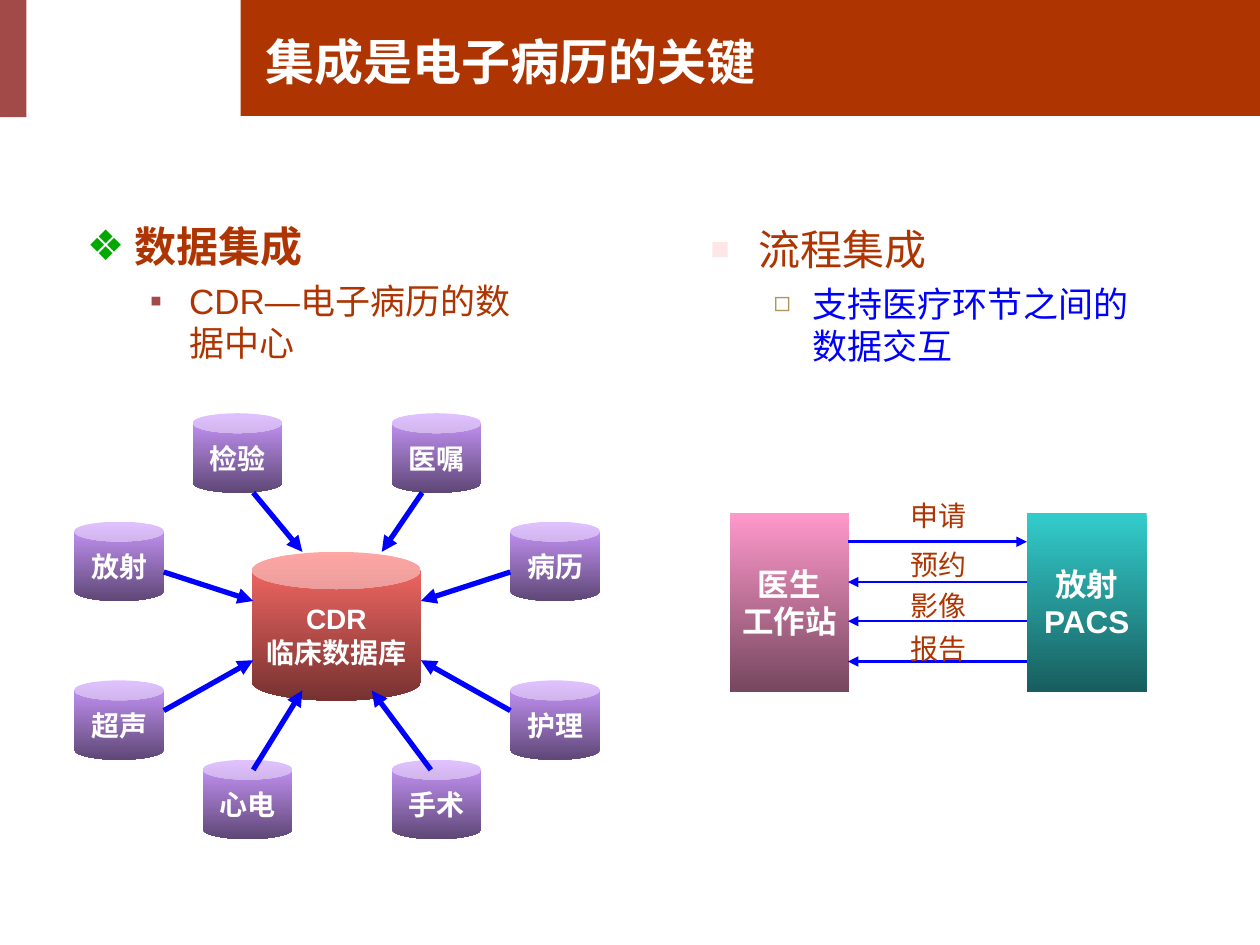
"""Build the slide on integration as the key to electronic medical records."""
import lxml.etree
import pptx
import pptx.dml.color
import pptx.enum.shapes
import pptx.enum.text
import pptx.oxml
import pptx.oxml.ns
import pptx.util

Inches = pptx.util.Inches
Pt = pptx.util.Pt
RGBColor = pptx.dml.color.RGBColor
SHAPE = pptx.enum.shapes.MSO_SHAPE
ALIGN = pptx.enum.text.PP_ALIGN
ANCHOR = pptx.enum.text.MSO_ANCHOR

RUST = RGBColor(0xAE, 0x35, 0x02)
MAROON = RGBColor(0xA2, 0x4A, 0x48)
WHITE = RGBColor(0xFF, 0xFF, 0xFF)
BLUE = RGBColor(0x00, 0x00, 0xFF)
GREEN = RGBColor(0x00, 0xA8, 0x00)
BLUSH = RGBColor(0xFF, 0xE6, 0xE6)
TAN = RGBColor(0xB2, 0x93, 0x5C)
RED_FADE = (RGBColor(0xFE, 0x6C, 0x68), RGBColor(0x76, 0x32, 0x30))
PURPLE_FADE = (RGBColor(0xCC, 0x99, 0xFF), RGBColor(0x5E, 0x47, 0x76))
PINK_FADE = (RGBColor(0xFF, 0x99, 0xCC), RGBColor(0x76, 0x47, 0x5E))
TEAL_FADE = (RGBColor(0x33, 0xCC, 0xCC), RGBColor(0x18, 0x5E, 0x5E))

TITLE = "集成是电子病历的关键"
BARS = [((1.91, 0, 8.09, 0.92), RUST), ((0, 0, 0.21, 0.93), MAROON)]

# Each item: text, level, size, font, colour, bold, bullet, bullet colour, bullet percent
LISTS = [
    ((0.59, 1.7, 3.63, 2.22), [
        ("数据集成", 0, 24, "DejaVu Sans", RUST, True, "❖", GREEN, 100),
        ("CDR—电子病历的数据中心", 1, 20, "Arial", RUST, False, "▪", MAROON, 100),
    ]),
    ((5.54, 1.72, 3.63, 1.97), [
        ("流程集成", 0, 24, "Arial", RUST, False, "■", BLUSH, 75),
        ("支持医疗环节之间的数据交互", 1, 20, "Arial", BLUE, False, "◻", TAN, 80),
    ]),
]
LEVELS = [(0.38, -0.38, 6), (0.81, -0.31, 5)]

DATABASE = ("CDR\v临床数据库", (2, 4.38, 1.34, 1.18))
SOURCE_SIZE = (0.71, 0.63)
SOURCES = [
    ("检验", (1.53, 3.28), (2.01, 3.91), (2.4, 4.38)),
    ("放射", (0.59, 4.14), (1.3, 4.54), (2.01, 4.77)),
    ("超声", (0.59, 5.4), (1.3, 5.64), (2.01, 5.24)),
    ("护理", (4.05, 5.4), (4.05, 5.64), (3.34, 5.24)),
    ("病历", (4.05, 4.14), (4.05, 4.54), (3.34, 4.77)),
    ("医嘱", (3.11, 3.28), (3.35, 3.91), (3.03, 4.38)),
    ("心电", (1.61, 6.03), (2.01, 6.11), (2.4, 5.48)),
    ("手术", (3.11, 6.03), (3.42, 6.11), (2.95, 5.48)),
]

STATIONS = [
    ("医生\v工作站", (5.79, 4.07, 0.95, 1.42), PINK_FADE),
    ("放射\vPACS", (8.15, 4.07, 0.95, 1.42), TEAL_FADE),
]
DOCTOR_EDGE, PACS_EDGE = 6.73, 8.15
MESSAGES = [
    ("申请", 3.91, 4.3, True),
    ("预约", 4.3, 4.62, False),
    ("影像", 4.62, 4.93, False),
    ("报告", 4.96, 5.25, False),
]


def box(values):
    return [Inches(value) for value in values]


def style(paragraph, size, color, bold=False, font="Arial"):
    paragraph.font.size = Pt(size)
    paragraph.font.name = font
    paragraph.font.bold = bold
    paragraph.font.color.rgb = color


def place(placeholder, bounds):
    placeholder.left, placeholder.top, placeholder.width, placeholder.height = box(bounds)
    placeholder.text_frame.auto_size = pptx.enum.text.MSO_AUTO_SIZE.NONE
    return placeholder.text_frame


def add_bullet(paragraph, level, character, color, percent):
    margin, indent, _ = LEVELS[level]
    properties = paragraph._p.get_or_add_pPr()
    properties.set("marL", str(Inches(margin)))
    properties.set("indent", str(Inches(indent)))
    qn = pptx.oxml.ns.qn
    bullet_color = lxml.etree.SubElement(properties, qn("a:buClr"))
    lxml.etree.SubElement(bullet_color, qn("a:srgbClr"), val=str(color))
    lxml.etree.SubElement(properties, qn("a:buSzPct"), val=str(percent * 1000))
    lxml.etree.SubElement(properties, qn("a:buFont"), typeface="Arial")
    lxml.etree.SubElement(properties, qn("a:buChar"), char=character)


def fill_list(placeholder, bounds, items):
    frame = place(placeholder, bounds)
    for index, (text, level, size, font, color, bold, *bullet) in enumerate(items):
        paragraph = frame.add_paragraph() if index else frame.paragraphs[0]
        paragraph.text = text
        paragraph.level = level
        add_bullet(paragraph, level, *bullet)
        paragraph.space_before = Pt(LEVELS[level][2] if index else 0)
        style(paragraph, size, color, bold, font)


def add_block(shapes, kind, text, bounds, fade, size):
    shape = shapes.add_shape(kind, *box(bounds))
    shape.shadow.inherit = False
    shape.line.fill.background()
    shape.fill.gradient()
    shape.fill.gradient_angle = 270
    for stop, color in zip(shape.fill.gradient_stops, fade):
        stop.color.rgb = color
    frame = shape.text_frame
    frame.word_wrap = False
    frame.vertical_anchor = ANCHOR.MIDDLE
    paragraph = frame.paragraphs[0]
    paragraph.text = text
    paragraph.alignment = ALIGN.CENTER
    style(paragraph, size, WHITE, True)


def add_arrow(shapes, start, end, width):
    connector = shapes.add_connector(
        pptx.enum.shapes.MSO_CONNECTOR.STRAIGHT, *box(start + end))
    connector.line.color.rgb = BLUE
    connector.line.width = Pt(width)
    qn = pptx.oxml.ns.qn
    lxml.etree.SubElement(connector.line._get_or_add_ln(), qn("a:tailEnd"), type="triangle")
    lxml.etree.SubElement(connector._element.spPr, qn("a:effectLst"))


def add_label(shapes, text, top):
    label = shapes.add_textbox(*box((7.13, top, 0.65, 0.37)))
    label.text_frame.word_wrap = True
    paragraph = label.text_frame.paragraphs[0]
    paragraph.text = text
    style(paragraph, 16, RUST)


def main():
    presentation = pptx.Presentation()
    presentation.slide_width, presentation.slide_height = Inches(10), Inches(7.5)
    slide = presentation.slides.add_slide(presentation.slide_layouts[3])
    title, *bodies = slide.placeholders

    for position, (bounds, color) in enumerate(BARS):
        bar = slide.shapes.add_shape(SHAPE.RECTANGLE, *box(bounds))
        bar.shadow.inherit = False
        bar.fill.solid()
        bar.fill.fore_color.rgb = color
        bar.line.fill.background()
        slide.shapes._spTree.insert(2 + position, bar._element)

    frame = place(title, (2.01, 0.17, 7.74, 0.62))
    frame.vertical_anchor = ANCHOR.MIDDLE
    frame.text = TITLE
    frame.paragraphs[0].alignment = ALIGN.LEFT
    style(frame.paragraphs[0], 28, WHITE, True)

    for body, (bounds, items) in zip(bodies, LISTS):
        fill_list(body, bounds, items)

    data = slide.shapes.add_group_shape().shapes
    add_block(data, SHAPE.CAN, *DATABASE, RED_FADE, 16)
    for text, corner, start, end in SOURCES:
        add_block(data, SHAPE.CAN, text, corner + SOURCE_SIZE, PURPLE_FADE, 16)
        add_arrow(data, start, end, 3)

    workflow = slide.shapes.add_group_shape().shapes
    for text, bounds, fade in STATIONS:
        add_block(workflow, SHAPE.RECTANGLE, text, bounds, fade, 18)
    for text, label_top, y, to_pacs in MESSAGES:
        ends = [(DOCTOR_EDGE, y), (PACS_EDGE, y)]
        start, end = ends if to_pacs else reversed(ends)
        add_arrow(workflow, start, end, 1.5)
        add_label(workflow, text, label_top)

    presentation.save("out.pptx")


if __name__ == "__main__":
    main()
